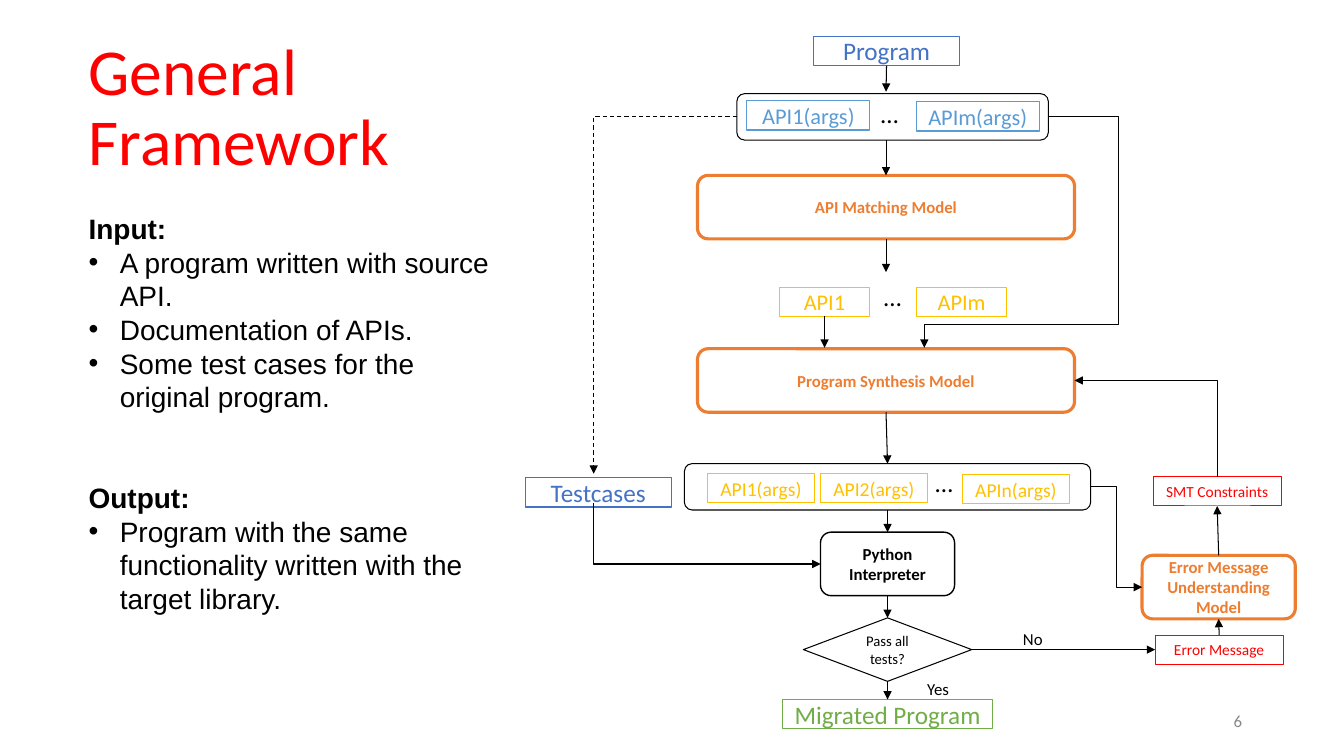
from lxml import etree
from pptx import Presentation
from pptx.dml.color import RGBColor
from pptx.enum.dml import MSO_LINE
from pptx.enum.shapes import MSO_CONNECTOR, MSO_SHAPE
from pptx.enum.text import MSO_ANCHOR, PP_ALIGN
from pptx.oxml.ns import qn
from pptx.util import Inches, Pt

RECT, ROUND, DIAMOND = MSO_SHAPE.RECTANGLE, MSO_SHAPE.ROUNDED_RECTANGLE, MSO_SHAPE.DIAMOND
STRAIGHT, ELBOW = MSO_CONNECTOR.STRAIGHT, MSO_CONNECTOR.ELBOW
LEFT, CENTER, RIGHT = PP_ALIGN.LEFT, PP_ALIGN.CENTER, PP_ALIGN.RIGHT
TOP_ANCHOR, MIDDLE = MSO_ANCHOR.TOP, MSO_ANCHOR.MIDDLE
DASH = MSO_LINE.DASH

BLACK = RGBColor(0x00, 0x00, 0x00)
WHITE = RGBColor(0xFF, 0xFF, 0xFF)
RED = RGBColor(0xFF, 0x00, 0x00)
BLUE = RGBColor(0x44, 0x72, 0xC4)
SKY = RGBColor(0x5B, 0x9B, 0xD5)
ORANGE = RGBColor(0xED, 0x7D, 0x31)
GOLD = RGBColor(0xFF, 0xC0, 0x00)
GREEN = RGBColor(0x70, 0xAD, 0x47)
GRAY = RGBColor(0x88, 0x88, 0x88)

CELL = Inches(0.1)
COLUMNS, ROWS = 133.33, 75
TOP, WEST, BOTTOM, EAST = range(4)
SITE_SHARES = {TOP: (0.5, 0), WEST: (0, 0.5), BOTTOM: (0.5, 1), EAST: (1, 0.5)}
TAG_HEIGHT, ROW_HEIGHT, MODEL_HEIGHT = 2.9, 4.6, 6.3


def cells(count):
    return round(count * CELL)


class FlowSlide:
    """Draws flowchart parts on one slide, measured in grid cells."""

    def __init__(self, slide, font="Calibri"):
        self.slide = slide
        self.font = font

    def set_text(self, paragraph, text, size, color, bold=False, align=LEFT, font=None):
        paragraph.text = text
        paragraph.alignment = align
        style = paragraph.font
        style.name, style.size, style.bold = font or self.font, Pt(size), bold
        style.color.rgb = color

    def box(self, col, row, width, height, text, color, size=12, kind=RECT,
            weight=0.75, bold=False, fill=None):
        shape = self.slide.shapes.add_shape(kind, *map(cells, (col, row, width, height)))
        shape.shadow.inherit = False
        if fill is None:
            shape.fill.background()
        else:
            shape.fill.solid()
            shape.fill.fore_color.rgb = fill
        shape.line.color.rgb = color
        shape.line.width = Pt(weight)
        if text:
            shape.text_frame.word_wrap = True
            shape.text_frame.vertical_anchor = MIDDLE
            self.set_text(shape.text_frame.paragraphs[0], text, size, color, bold, CENTER)
        return shape

    def tag(self, col, row, width, text, color, size):
        return self.box(col, row, width, TAG_HEIGHT, text, color, size)

    def row_frame(self, col, row, width):
        return self.box(col, row, width, ROW_HEIGHT, "", BLACK, kind=ROUND)

    def model(self, col, row, width, text):
        return self.box(col, row, width, MODEL_HEIGHT, text, ORANGE, kind=ROUND,
                        weight=2.25, bold=True)

    def frame(self, col, row, width, height, anchor=TOP_ANCHOR):
        area = self.slide.shapes.add_textbox(*map(cells, (col, row, width, height))).text_frame
        area.word_wrap = True
        area.vertical_anchor = anchor
        return area

    def label(self, col, row, width, height, text, size, color=BLACK, align=LEFT,
              anchor=TOP_ANCHOR):
        paragraph = self.frame(col, row, width, height, anchor).paragraphs[0]
        self.set_text(paragraph, text, size, color, align=align)
        return paragraph

    def outline(self, col, row, width, height, sections, size, font, gap):
        area = self.frame(col, row, width, height)
        paragraph = area.paragraphs[0]
        for index, (heading, points) in enumerate(sections):
            if index:
                paragraph = area.add_paragraph()
                paragraph.space_before = Pt(gap)
            self.set_text(paragraph, heading, size, BLACK, True, font=font)
            for point in points:
                item = area.add_paragraph()
                self.set_text(item, point, size, BLACK, font=font)
                self.bullet(item, font)

    def bullet(self, paragraph, font):
        props = paragraph._p.get_or_add_pPr()
        props.set("marL", str(cells(3.1)))
        props.set("indent", str(-cells(3.1)))
        typeface = etree.Element(qn("a:buFont"), typeface=font)
        props.insert(0, typeface)
        typeface.addnext(etree.Element(qn("a:buChar"), char="•"))

    def place(self, end):
        first, second = end
        if isinstance(first, (int, float)):
            return cells(first), cells(second)
        across, down = SITE_SHARES[second]
        return round(first.left + across * first.width), round(first.top + down * first.height)

    def arrow(self, start, end, preset=None, adjust=(), dash=None, upright=False):
        (x1, y1), (x2, y2) = self.place(start), self.place(end)
        arrow = self.slide.shapes.add_connector(ELBOW if preset else STRAIGHT, x1, y1, x2, y2)
        for target, join in ((start, arrow.begin_connect), (end, arrow.end_connect)):
            if not isinstance(target[0], (int, float)):
                join(*target)
        arrow.line.color.rgb = BLACK
        arrow.line.width = Pt(0.75)
        if dash:
            arrow.line.dash_style = dash
        props = arrow._element.spPr
        etree.SubElement(props.find(qn("a:ln")), qn("a:tailEnd"), type="triangle")
        etree.SubElement(props, qn("a:effectLst"))
        if preset:
            self.bend(props, preset, adjust)
        if upright:
            width, height = abs(y2 - y1), abs(x2 - x1)
            arrow.left, arrow.top = (x1 + x2 - width) // 2, (y1 + y2 - height) // 2
            arrow.width, arrow.height = width, height
            turn = props.find(qn("a:xfrm"))
            turn.set("rot", str(270 * 60000))
            turn.set("flipH", str(int(y2 > y1)))
            turn.set("flipV", str(int(x2 < x1)))

    def bend(self, props, preset, adjust):
        geometry = props.find(qn("a:prstGeom"))
        geometry.set("prst", preset)
        guides = geometry.find(qn("a:avLst"))
        for number, share in enumerate(adjust, 1):
            etree.SubElement(guides, qn("a:gd"), name=f"adj{number}",
                             fmla=f"val {round(share * 100000)}")


def main():
    deck = Presentation()
    deck.slide_width, deck.slide_height = cells(COLUMNS), cells(ROWS)
    flow = FlowSlide(deck.slides.add_slide(deck.slide_layouts[6]))

    title = flow.label(7.8, 3.6, 45, 14.5, "General\vFramework", 46.8, RED, anchor=MIDDLE)
    title.line_spacing = 0.9
    flow.outline(7.8, 20.5, 43.1, 41.4, [
        ("Input:", ["A program written with source API.", "Documentation of APIs.",
                    "Some test cases for the original program."]),
        ("Output:", ["Program with the same functionality written with the target library."]),
    ], 20, "Arial", 48)

    program = flow.tag(80.7, 3.6, 14.5, "Program", BLUE, 18)
    source_calls = flow.row_frame(73.1, 9.3, 30.9)
    flow.tag(74.1, 10, 12.2, "API1(args)", SKY, 16)
    flow.tag(90.9, 10.1, 12.2, "APIm(args)", SKY, 16)
    matching = flow.model(69.2, 17.4, 37.4, "API Matching Model")
    first_api = flow.tag(77.3, 28.5, 9, "API1", GOLD, 16)
    flow.tag(90.9, 28.5, 9, "APIm", GOLD, 16)
    synthesis = flow.model(69.2, 34.6, 37.4, "Program Synthesis Model")
    target_calls = flow.row_frame(67.9, 46, 40.3)
    for col, row, call in ((70.2, 47, "API1(args)"), (81.4, 47, "API2(args)"),
                           (95.5, 47.1, "APIn(args)")):
        flow.tag(col, row, 10.6, call, GOLD, 14)
    for col, row in ((86.4, 9.3), (86.7, 27.4), (91.8, 45.9)):
        flow.label(col, row, 3.8, 4, "…", 18)

    flow.tag(52.1, 47.4, 14.5, "Testcases", BLUE, 18)
    interpreter = flow.box(81.4, 52.8, 13.3, MODEL_HEIGHT, "Python Interpreter", BLACK,
                           kind=ROUND, weight=1, bold=True, fill=WHITE)
    decision = flow.box(79.7, 61.3, 16.7, MODEL_HEIGHT, "Pass all tests?", BLACK, 10.5, DIAMOND)
    migrated = flow.tag(77.6, 69.4, 20.9, "Migrated Program", GREEN, 18)
    error = flow.tag(114.6, 63, 12.7, "Error Message", RED, 11)
    understanding = flow.model(113.3, 55.1, 15.2, "Error Message Understanding Model")
    constraints = flow.tag(114.4, 47.3, 12.7, "SMT Constraints", RED, 11)
    flow.label(91, 66.8, 9.1, 3, "Yes", 12)
    flow.label(100.5, 61.9, 5.6, 3, "No", 12)
    flow.label(94.2, 69.5, 30, 4, "6", 12, GRAY, RIGHT, MIDDLE)

    for start, end in (
        ((program, BOTTOM), (87.9, 9.1)),
        ((87.9, 13.9), (matching, TOP)),
        ((matching, BOTTOM), (87.9, 27)),
        ((first_api, BOTTOM), (81.8, 34.5)),
        ((synthesis, BOTTOM), (target_calls, TOP)),
        ((target_calls, BOTTOM), (interpreter, TOP)),
        ((interpreter, BOTTOM), (decision, TOP)),
        ((decision, BOTTOM), (migrated, TOP)),
        ((decision, EAST), (error, WEST)),
        ((error, TOP), (understanding, BOTTOM)),
        ((understanding, TOP), (constraints, BOTTOM)),
    ):
        flow.arrow(start, end)

    flow.arrow((source_calls, EAST), (91.7, 34.5), "bentConnector4", (-0.57, 0.9))
    flow.arrow((source_calls, WEST), (58.9, 47), "bentConnector2", dash=DASH)
    flow.arrow((58.9, 49.9), (interpreter, WEST), "bentConnector2", upright=True)
    flow.arrow((constraints, TOP), (synthesis, EAST), "bentConnector2", upright=True)
    flow.arrow((target_calls, EAST), (understanding, WEST), "bentConnector3", (0.5,))

    deck.save("out.pptx")


if __name__ == "__main__":
    main()
